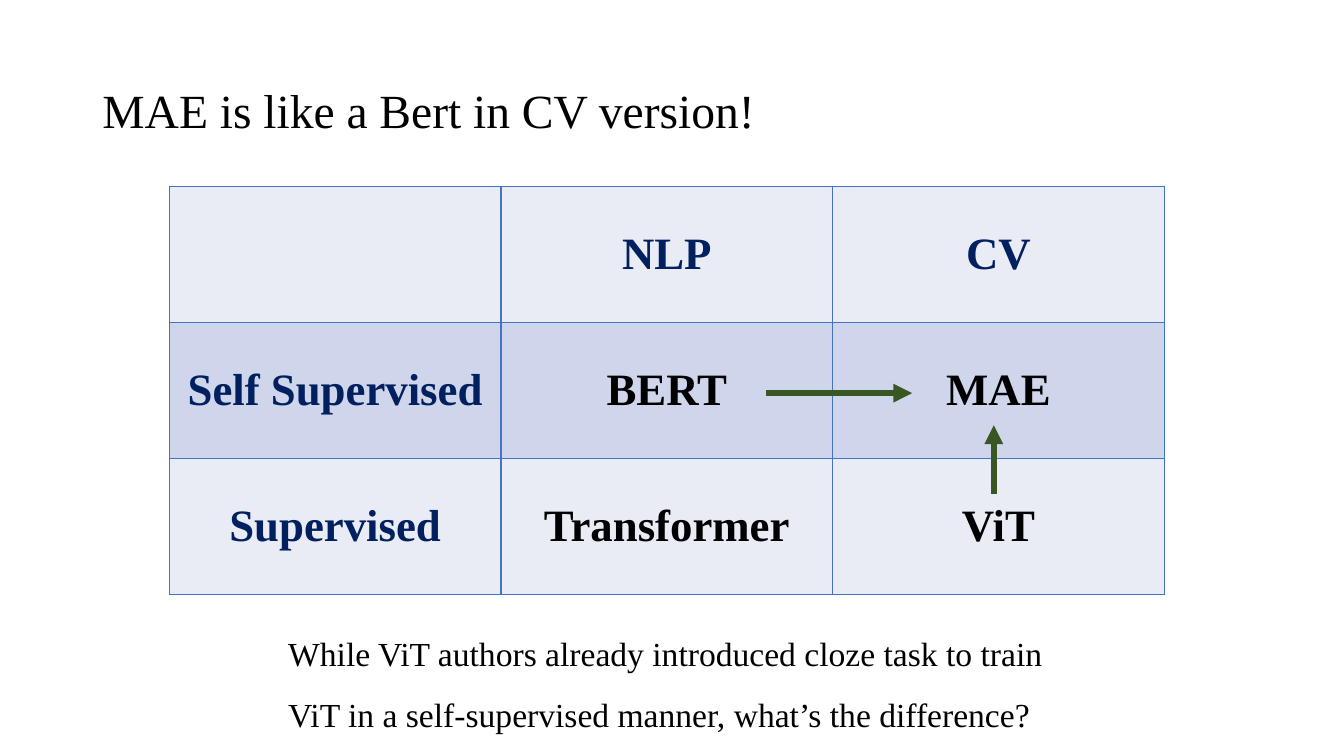
from dataclasses import dataclass

import lxml.etree
import pptx
import pptx.dml.color
import pptx.enum.shapes
import pptx.enum.text
import pptx.oxml.ns
import pptx.util

Pt = pptx.util.Pt
qn = pptx.oxml.ns.qn
ALIGN = pptx.enum.text.PP_ALIGN
ANCHOR = pptx.enum.text.MSO_ANCHOR
AUTO_SIZE = pptx.enum.text.MSO_AUTO_SIZE

COLORS = {
    "text": "000000",
    "heading": "002060",
    "border": "4472C4",
    "light_row": "E9EBF5",
    "dark_row": "CFD5EA",
    "arrow": "385723",
}
FONT = "Times New Roman"

TABLE_LEFT, TABLE_TOP = 121, 133.2
COL_WIDTH, ROW_HEIGHT = 236.9, 97.2
TABLE_ROWS = [
    ["", "NLP", "CV"],
    ["Self Supervised", "BERT", "MAE"],
    ["Supervised", "Transformer", "ViT"],
]


@dataclass
class TextBlock:
    text: str
    left: float
    top: float
    width: float
    height: float
    size: float
    line_spacing: float
    frame_format: dict


@dataclass
class Arrow:
    x1: float
    y1: float
    x2: float
    y2: float


TITLE = TextBlock(
    "MAE is like a Bert in CV version!", 66, 28.8, 828, 104.4, 34, 0.9,
    {"vertical_anchor": ANCHOR.MIDDLE, "auto_size": AUTO_SIZE.NONE},
)
QUESTION = TextBlock(
    "While ViT authors already introduced cloze task to train ViT "
    "in a self-supervised manner, what’s the difference?",
    198.8, 434.2, 562.3, 89.3, 24, 1.5,
    {"vertical_anchor": ANCHOR.TOP, "auto_size": AUTO_SIZE.SHAPE_TO_FIT_TEXT},
)
ARROWS = [
    Arrow(547.2, 280.8, 651.6, 280.8),
    Arrow(709.9, 352.8, 709.9, 303.8),
]


def rgb(name: str) -> pptx.dml.color.RGBColor:
    return pptx.dml.color.RGBColor.from_string(COLORS[name])


def set_format(target, values: dict) -> None:
    for name, value in values.items():
        setattr(target, name, value)


def write_text(tf, text: str, size: float, color: str, bold: bool, paragraph: dict) -> None:
    p = tf.paragraphs[0]
    set_format(p, paragraph)
    r = p.add_run()
    r.text = text
    set_format(r.font, {"name": FONT, "size": Pt(size), "bold": bold})
    r.font.color.rgb = rgb(color)


def fill_block(sp, block: TextBlock) -> None:
    set_format(sp, {
        "left": Pt(block.left), "top": Pt(block.top),
        "width": Pt(block.width), "height": Pt(block.height),
    })
    tf = sp.text_frame
    set_format(tf, {"word_wrap": True} | block.frame_format)
    write_text(tf, block.text, block.size, "text", False,
               {"alignment": ALIGN.LEFT, "line_spacing": block.line_spacing})


def add_borders(cell) -> None:
    tc_pr = cell._tc.get_or_add_tcPr()
    for side in ("lnL", "lnR", "lnT", "lnB"):
        ln = lxml.etree.SubElement(tc_pr, qn(f"a:{side}"), w=str(Pt(1)))
        solid = lxml.etree.SubElement(ln, qn("a:solidFill"))
        lxml.etree.SubElement(solid, qn("a:srgbClr"), val=COLORS["border"])


def add_model_table(s) -> None:
    n_rows, n_cols = len(TABLE_ROWS), len(TABLE_ROWS[0])
    table = s.shapes.add_table(
        n_rows, n_cols, Pt(TABLE_LEFT), Pt(TABLE_TOP),
        Pt(COL_WIDTH * n_cols), Pt(ROW_HEIGHT * n_rows),
    ).table
    for i, row in enumerate(TABLE_ROWS):
        for j, text in enumerate(row):
            cell = table.cell(i, j)
            add_borders(cell)
            cell.fill.solid()
            cell.fill.fore_color.rgb = rgb("dark_row" if i % 2 else "light_row")
            cell.vertical_anchor = ANCHOR.MIDDLE
            if text:
                color = "text" if i and j else "heading"
                write_text(cell.text_frame, text, 32, color, True,
                           {"alignment": ALIGN.CENTER})


def add_arrow(s, arrow: Arrow) -> None:
    line = s.shapes.add_connector(
        pptx.enum.shapes.MSO_CONNECTOR.STRAIGHT,
        Pt(arrow.x1), Pt(arrow.y1), Pt(arrow.x2), Pt(arrow.y2),
    )
    line.line.width = Pt(4.5)
    line.line.color.rgb = rgb("arrow")
    sp_pr = line._element.spPr
    lxml.etree.SubElement(sp_pr.find(qn("a:ln")), qn("a:tailEnd"), type="triangle")
    lxml.etree.SubElement(sp_pr, qn("a:effectLst"))


def main() -> None:
    prs = pptx.Presentation()
    set_format(prs, {"slide_width": Pt(960), "slide_height": Pt(540)})
    s = prs.slides.add_slide(prs.slide_layouts.get_by_name("Title Only"))
    fill_block(s.shapes.title, TITLE)
    add_model_table(s)
    for arrow in ARROWS:
        add_arrow(s, arrow)
    fill_block(s.shapes.add_textbox(0, 0, 0, 0), QUESTION)
    prs.save("out.pptx")


if __name__ == "__main__":
    main()
